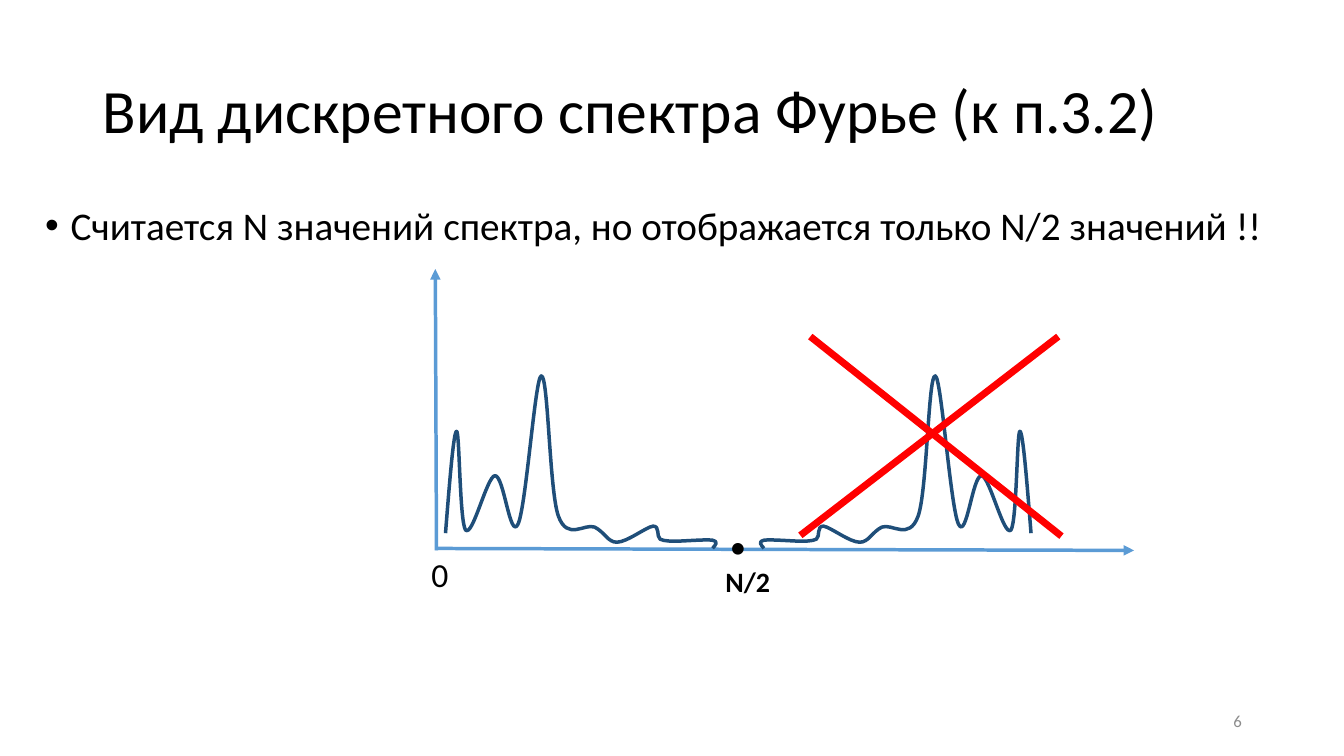
import pptx
import pptx.dml.color
import pptx.enum.shapes
import pptx.enum.text
import pptx.oxml
import pptx.oxml.ns
import pptx.util
from pptx.util import Cm

ANCHOR = pptx.enum.text.MSO_ANCHOR
ALIGN = pptx.enum.text.PP_ALIGN


def colour(value):
    return pptx.dml.color.RGBColor.from_string(value)


def xml_element(tag, **attributes):
    element = pptx.oxml.parse_xml(f"<a:{tag} {pptx.oxml.ns.nsdecls('a')}/>")
    for name, value in attributes.items():
        element.set(name, value)
    return element


class SpectrumSlide:
    font = "Calibri"
    black, grey = "000000", "8C8C8C"
    axis_colour, curve_colour, cross_colour = "5B9BD5", "1F4E79", "FF0000"

    def __init__(self, page):
        self.page = page
        self.shapes = page.shapes

    def start_group(self):
        """Put the elements that follow into a new group."""
        self.shapes = self.page.shapes.add_group_shape().shapes

    def text(self, area, words, size, shade=black, bold=False, wrap=True,
             anchor=ANCHOR.TOP, bullet=False, **paragraph_format):
        box = self.shapes.add_textbox(*(Cm(length) for length in area))
        frame = box.text_frame
        frame.word_wrap = wrap
        frame.vertical_anchor = anchor
        para = frame.paragraphs[0]
        for name, value in paragraph_format.items():
            setattr(para, name, value)
        if bullet:
            properties = para._p.get_or_add_pPr()
            indent = Cm(0.64)
            properties.set("marL", str(indent))
            properties.set("indent", str(-indent))
            properties.append(xml_element("buFont", typeface="Arial"))
            properties.append(xml_element("buChar", char="•"))
        span = para.add_run()
        span.text = words
        font_format = {"name": self.font, "size": pptx.util.Pt(size), "bold": bold}
        for name, value in font_format.items():
            setattr(span.font, name, value)
        span.font.color.rgb = colour(shade)

    def line(self, start, end, shade, width, arrow=False):
        connector = self.shapes.add_connector(
            pptx.enum.shapes.MSO_CONNECTOR.STRAIGHT,
            *(Cm(length) for length in start + end))
        self.stroke(connector, shade, width)
        connector._element.spPr.append(xml_element("effectLst"))
        if arrow:
            connector.line._get_or_add_ln().append(
                xml_element("tailEnd", type="triangle"))

    def curve(self, points):
        """Draw a start point and triples of two handles and an end, in cm."""
        start, *rest = [(Cm(x), Cm(y)) for x, y in points]
        builder = self.shapes.build_freeform(*start)
        builder.add_line_segments(rest, close=False)
        shape = builder.convert_to_shape()
        shape.shadow.inherit = False
        shape.fill.background()
        self.stroke(shape, self.curve_colour, 2.5)
        # Join every three straight steps into one cubic Bézier segment
        steps = shape._element.xpath(".//a:lnTo")
        for first in range(0, len(steps), 3):
            bezier = xml_element("cubicBezTo")
            steps[first].addprevious(bezier)
            for step in steps[first:first + 3]:
                bezier.append(step[0])
                step.getparent().remove(step)

    def stroke(self, shape, shade, width):
        shape.line.color.rgb = colour(shade)
        shape.line.width = pptx.util.Pt(width)


# Left half of the spectrum: start point, then two handles and an end per segment
SPECTRUM_INCHES = [
    (4.42, 5.29),
    (4.46, 4.79), (4.5, 4.28), (4.53, 4.28),
    (4.56, 4.27), (4.56, 5.18), (4.62, 5.26),
    (4.69, 5.33), (4.83, 4.73), (4.91, 4.72),
    (5, 4.71), (5.06, 5.37), (5.14, 5.2),
    (5.22, 5.03), (5.31, 3.74), (5.37, 3.73),
    (5.44, 3.71), (5.45, 4.87), (5.54, 5.12),
    (5.63, 5.37), (5.8, 5.19), (5.9, 5.23),
    (6, 5.28), (6.03, 5.38), (6.12, 5.38),
    (6.22, 5.38), (6.41, 5.23), (6.48, 5.22),
    (6.55, 5.22), (6.51, 5.32), (6.55, 5.35),
    (6.58, 5.37), (6.69, 5.37), (6.69, 5.37),
    (6.78, 5.37), (7, 5.35), (7.07, 5.36),
    (7.13, 5.37), (7.1, 5.41), (7.07, 5.44),
]
SPECTRUM = [(x * 2.54, y * 2.54) for x, y in SPECTRUM_INCHES]
MIRROR_SUM = 37.21  # x of a point plus x of its mirror image, in cm


def main():
    deck = pptx.Presentation()
    deck.slide_width, deck.slide_height = Cm(33.87), Cm(19.05)
    slide = SpectrumSlide(deck.slides.add_slide(deck.slide_layouts[6]))

    # Title, statement and page number
    slide.text((2.34, 1.02, 29.21, 3.68), "Вид дискретного спектра Фурье (к п.3.2)",
               44, anchor=ANCHOR.MIDDLE, line_spacing=0.9)
    slide.text((0.89, 5.08, 32.03, 12.09),
               "Считается N значений спектра, но отображается только N/2 значений !!",
               28, bullet=True, line_spacing=0.9, space_before=pptx.util.Pt(10))
    slide.text((23.93, 17.65, 7.62, 1.02), "6", 12, slide.grey,
               anchor=ANCHOR.MIDDLE, alignment=ALIGN.RIGHT)

    # Axes
    slide.start_group()
    slide.text((10.62, 13.84, 1.73, 2.84), "0", 24)
    for start, end in [((10.97, 13.82), (28.58, 13.87)),
                       ((11, 13.87), (10.97, 6.78))]:
        slide.line(start, end, slide.axis_colour, 2.5, arrow=True)

    # Spectrum and its mirror image
    slide.curve(SPECTRUM)
    slide.curve([(MIRROR_SUM - x, y) for x, y in SPECTRUM])

    # Middle of the axis
    slide.text((18.03, 14.1, 2.49, 1.88), "N/2", 20, bold=True)
    slide.text((18.16, 13.26, 1.68, 2.29), "●", 18, wrap=False)

    # Cross over the mirrored half
    slide.start_group()
    for start, end in [((20.42, 8.48), (26.75, 13.51)),
                       ((26.67, 8.48), (20.17, 13.49))]:
        slide.line(start, end, slide.cross_colour, 5)

    deck.save("out.pptx")


if __name__ == "__main__":
    main()
